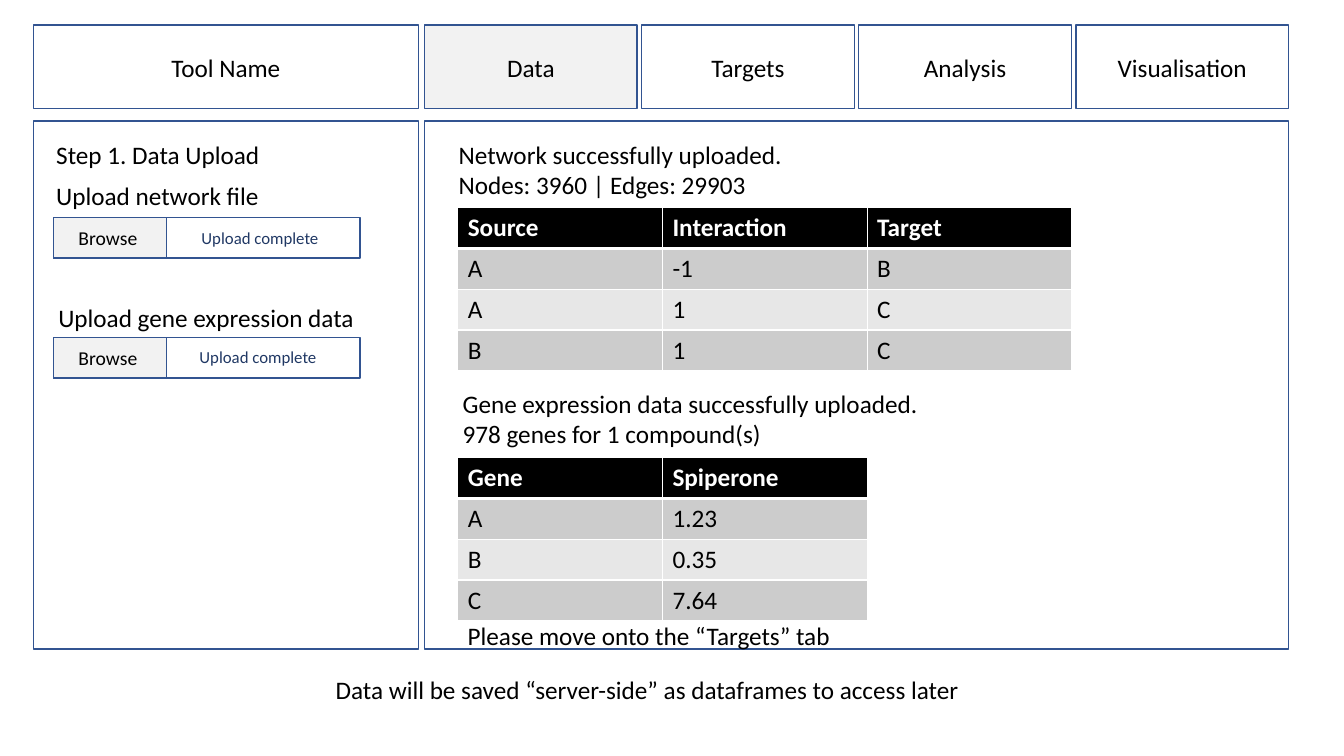
from dataclasses import dataclass

from lxml.etree import SubElement
from pptx import Presentation
from pptx.dml.color import RGBColor
from pptx.enum.shapes import MSO_SHAPE as Shape
from pptx.enum.text import MSO_ANCHOR as Anchor, PP_ALIGN as Align
from pptx.oxml.ns import qn
from pptx.slide import Slide
from pptx.table import _Cell as Cell
from pptx.text.text import TextFrame
from pptx.util import Inches, Pt


@dataclass(frozen=True)
class Theme:
    """Colours, font and type sizes of the mock-up."""
    font: str = "Calibri"
    body: int = 18
    button: int = 14
    status: int = 12
    ink: str = "000000"
    paper: str = "FFFFFF"
    outline: str = "325491"
    highlight: str = "F2F2F2"
    done: str = "203864"
    header: str = "000000"
    bands: tuple[str, str] = ("CCCCCC", "E7E7E7")


@dataclass(frozen=True)
class Box:
    """A rectangle on the slide, in inches."""
    left: float
    top: float
    width: float
    height: float

    def lengths(self) -> tuple[Inches, ...]:
        """Return left, top, width and height as slide lengths."""
        return tuple(Inches(v) for v in (self.left, self.top, self.width, self.height))


@dataclass(frozen=True)
class Tab:
    """A heading in the navigation bar."""
    label: str
    box: Box
    fill: str | None = None


@dataclass(frozen=True)
class Upload:
    """A labelled file field with its status message."""
    label: str
    label_box: Box
    top: float
    status_left: float
    status_top: float


@dataclass(frozen=True)
class Preview:
    """A message above a table of uploaded data."""
    message: str
    message_box: Box
    top: float
    rows: tuple[tuple[str, ...], ...]


THEME = Theme()
BAR_TOP, BAR_HEIGHT = 0.25, 0.83
PANEL_TOP, PANEL_HEIGHT = 1.2, 5.24
SIDE_LEFT, SIDE_WIDTH = 0.33, 3.82
MAIN_LEFT, MAIN_WIDTH = 4.21, 8.57
TAB_WIDTH = 2.11
TAB_STEP = (MAIN_WIDTH - TAB_WIDTH) / 3
FIELD_LEFT, FIELD_WIDTH, FIELD_HEIGHT, BROWSE_WIDTH = 0.53, 3.04, 0.4, 1.12
TABLE_LEFT, COLUMN_WIDTH, ROW_HEIGHT = 4.54, 2.03, 0.405

TABS = [Tab("Tool Name", Box(SIDE_LEFT, BAR_TOP, SIDE_WIDTH, BAR_HEIGHT))] + [
    Tab(label, Box(MAIN_LEFT + i * TAB_STEP, BAR_TOP, TAB_WIDTH, BAR_HEIGHT),
        THEME.highlight if label == "Data" else None)
    for i, label in enumerate(("Data", "Targets", "Analysis", "Visualisation"))
]
UPLOADS = (
    Upload("Upload network file", Box(0.46, 1.74, 2.23, 0.4), 2.16, 1.9, 2.21),
    Upload("Upload gene expression data", Box(0.48, 2.95, 3.17, 0.4), 3.35, 1.88, 3.39),
)
PREVIEWS = (
    Preview("Network successfully uploaded.\nNodes: 3960 | Edges: 29903",
            Box(4.45, 1.33, 7.29, 0.7), 2.06,
            (("Source", "Interaction", "Target"),
             ("A", "-1", "B"), ("A", "1", "C"), ("B", "1", "C"))),
    Preview("Gene expression data successfully uploaded.\n978 genes for 1 compound(s)",
            Box(4.49, 3.8, 7.29, 0.7), 4.54,
            (("Gene", "Spiperone"), ("A", "1.23"), ("B", "0.35"), ("C", "7.64"))),
)


def write(frame: TextFrame, text: str, *, size: int = THEME.body, color: str = THEME.ink,
          bold: bool = False, align: Align = Align.LEFT) -> None:
    """Fill a text frame, one paragraph a line, in the given format."""
    frame.text = text
    for paragraph in frame.paragraphs:
        paragraph.alignment = align
        for run in paragraph.runs:
            run.font.name = THEME.font
            run.font.size = Pt(size)
            run.font.bold = bold
            run.font.color.rgb = RGBColor.from_string(color)


def add_text(slide: Slide, text: str, box: Box, *, wrap: bool = True, **style) -> None:
    """Add a text box; style goes on to write."""
    frame = slide.shapes.add_textbox(*box.lengths()).text_frame
    frame.word_wrap = wrap
    write(frame, text, **style)


def add_frame(slide: Slide, box: Box, fill: str | None = None, label: str = "") -> None:
    """Add an outlined rectangle with an optional centred label."""
    frame = slide.shapes.add_shape(Shape.RECTANGLE, *box.lengths())
    frame.shadow.inherit = False
    frame.line.color.rgb = RGBColor.from_string(THEME.outline)
    frame.line.width = Pt(1)
    if fill:
        frame.fill.solid()
        frame.fill.fore_color.rgb = RGBColor.from_string(fill)
    else:
        frame.fill.background()
    if label:
        frame.text_frame.vertical_anchor = Anchor.MIDDLE
        write(frame.text_frame, label, align=Align.CENTER)


def add_upload(slide: Slide, upload: Upload) -> None:
    """Add a file field: label, outline, browse button and status."""
    add_text(slide, upload.label, upload.label_box, wrap=False)
    add_frame(slide, Box(FIELD_LEFT, upload.top, FIELD_WIDTH, FIELD_HEIGHT))
    add_frame(slide, Box(FIELD_LEFT, upload.top, BROWSE_WIDTH, FIELD_HEIGHT), THEME.highlight)
    add_text(slide, "Browse", Box(0.68, upload.top + 0.03, 0.79, 0.34),
             wrap=False, size=THEME.button)
    add_text(slide, "Upload complete", Box(upload.status_left, upload.status_top, 1.55, 0.3),
             size=THEME.status, color=THEME.done)


def set_borders(cell: Cell, top: int, bottom: int) -> None:
    """Draw the cell's borders in the paper colour; widths in points."""
    properties = cell._tc.get_or_add_tcPr()
    for side, width in (("L", 1), ("R", 1), ("T", top), ("B", bottom)):
        line = SubElement(properties, qn(f"a:ln{side}"), w=str(Pt(width)))
        SubElement(SubElement(line, qn("a:solidFill")), qn("a:srgbClr"), val=THEME.paper)


def add_preview(slide: Slide, preview: Preview) -> None:
    """Add the upload message and its banded table."""
    add_text(slide, preview.message, preview.message_box)
    row_count, column_count = len(preview.rows), len(preview.rows[0])
    box = Box(TABLE_LEFT, preview.top, COLUMN_WIDTH * column_count, ROW_HEIGHT * row_count)
    table = slide.shapes.add_table(row_count, column_count, *box.lengths()).table
    for r, values in enumerate(preview.rows):
        is_header = r == 0
        fill = THEME.header if is_header else THEME.bands[(r - 1) % 2]
        for c, value in enumerate(values):
            cell = table.cell(r, c)
            set_borders(cell, top=3 if r == 1 else 1, bottom=3 if is_header else 1)
            cell.fill.solid()
            cell.fill.fore_color.rgb = RGBColor.from_string(fill)
            write(cell.text_frame, value, bold=is_header,
                  color=THEME.paper if is_header else THEME.ink)


def main() -> None:
    """Build the data upload screen and save it."""
    deck = Presentation()
    deck.slide_width, deck.slide_height = Inches(13.33), Inches(7.5)
    slide = deck.slides.add_slide(deck.slide_layouts[6])

    for tab in TABS:
        add_frame(slide, tab.box, tab.fill, tab.label)
    add_frame(slide, Box(SIDE_LEFT, PANEL_TOP, SIDE_WIDTH, PANEL_HEIGHT))
    add_frame(slide, Box(MAIN_LEFT, PANEL_TOP, MAIN_WIDTH, PANEL_HEIGHT), THEME.paper)

    add_text(slide, "Step 1. Data Upload", Box(0.46, 1.33, 3.56, 0.4))
    for upload in UPLOADS:
        add_upload(slide, upload)
    for preview in PREVIEWS:
        add_preview(slide, preview)

    add_text(slide, "Please move onto the “Targets” tab", Box(TABLE_LEFT, 6.1, 7.29, 0.4))
    add_text(slide, "Data will be saved “server-side” as dataframes to access later",
             Box(3.23, 6.64, 6.45, 0.4), wrap=False)
    deck.save("out.pptx")


main()
